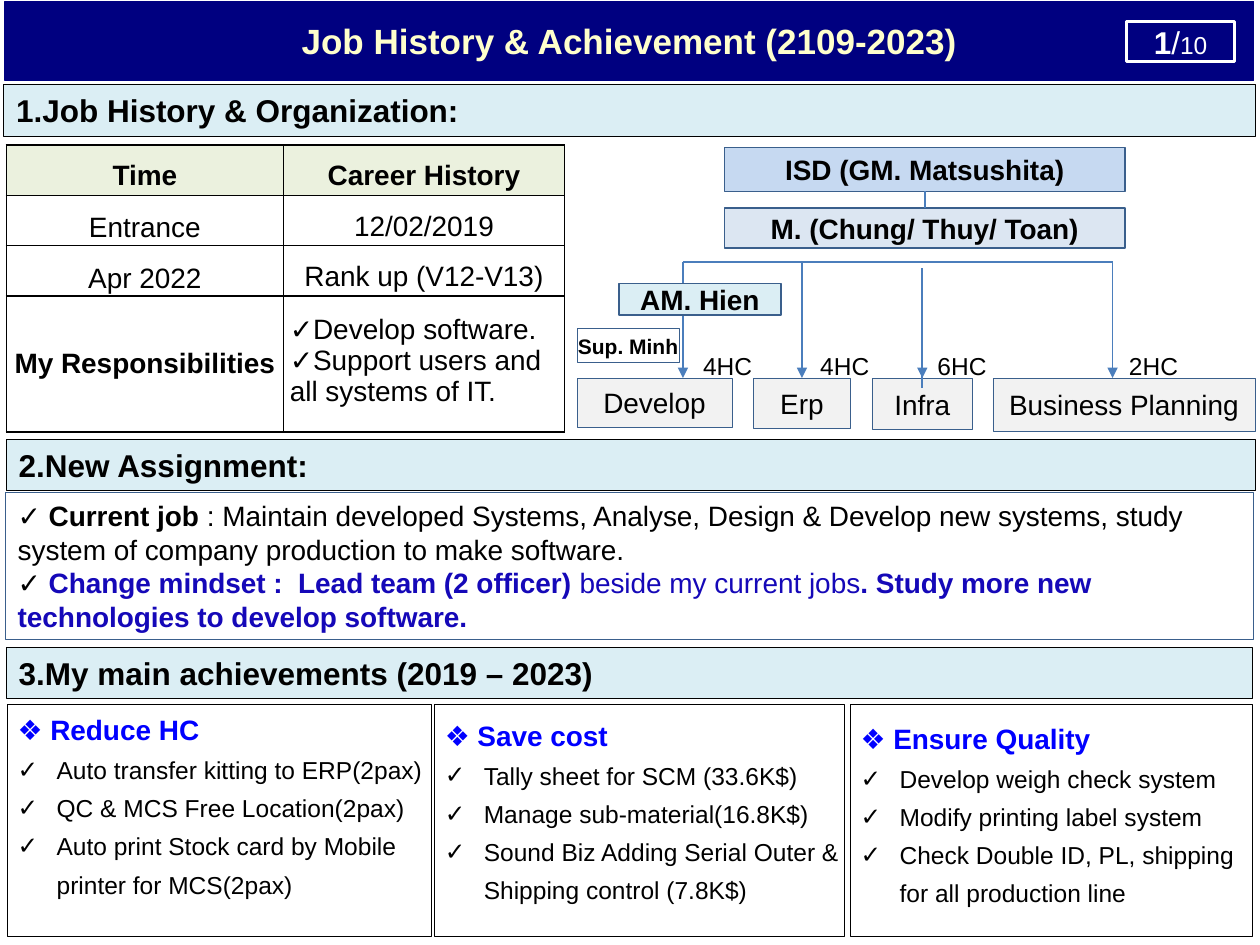
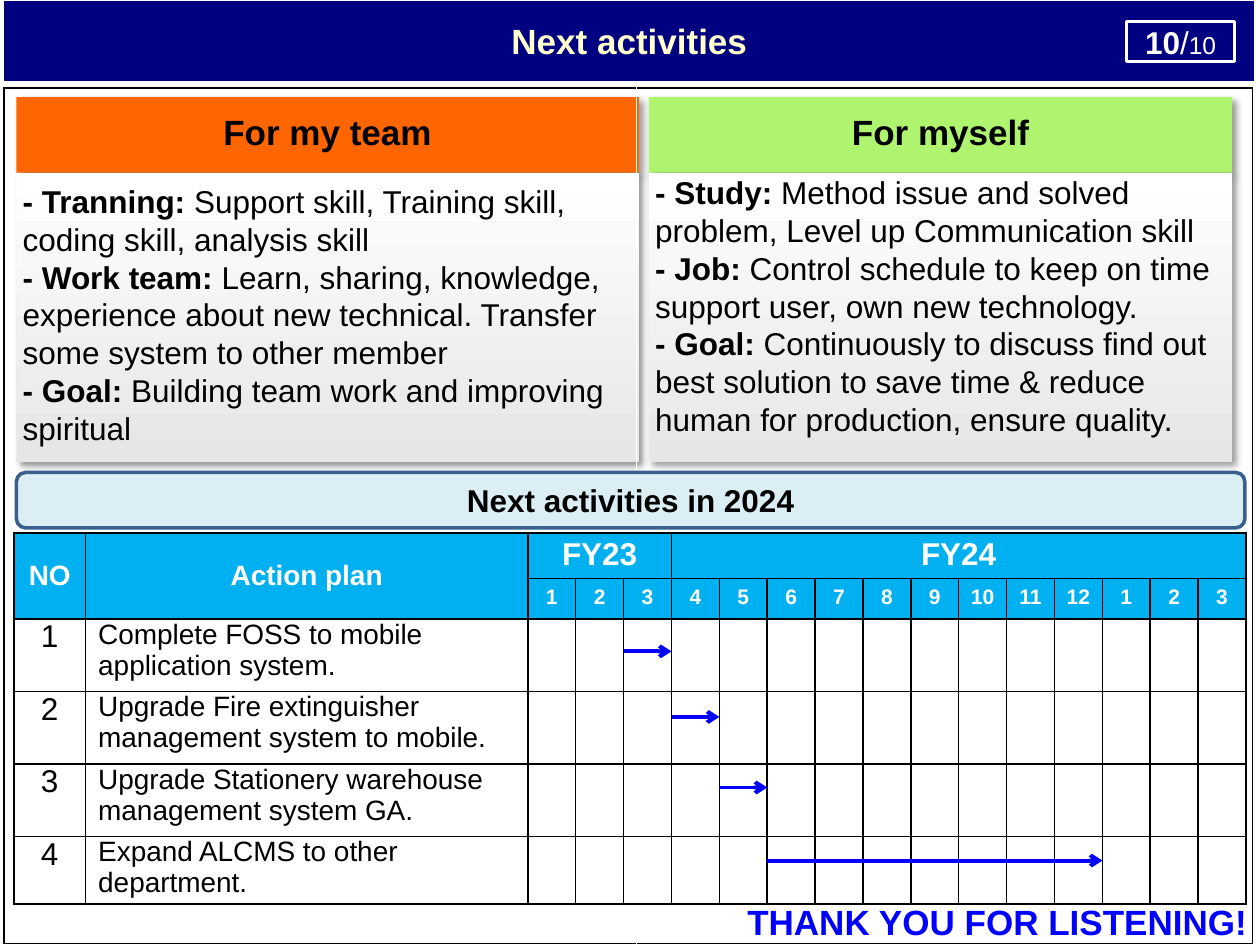
import collections
import pptx
import pptx.dml.color
import pptx.enum.shapes
import pptx.enum.text
import pptx.oxml.ns
import pptx.util
from lxml import etree

RGB = pptx.dml.color.RGBColor
Pt = pptx.util.Pt
Inches = pptx.util.Inches
qn = pptx.oxml.ns.qn
ALIGN = pptx.enum.text.PP_ALIGN
ANCHOR = pptx.enum.text.MSO_ANCHOR
SHAPE = pptx.enum.shapes.MSO_SHAPE

BLACK = RGB(0x00, 0x00, 0x00)
WHITE = RGB(0xFF, 0xFF, 0xFF)
NAVY = RGB(0x00, 0x00, 0x80)
CREAM = RGB(0xFF, 0xFF, 0xCC)
BLUE = RGB(0x00, 0x00, 0xFF)
INDIGO = RGB(0x15, 0x08, 0xB8)
STEEL = RGB(0x3A, 0x5F, 0x8C)
LINK = RGB(0x4B, 0x7E, 0xBC)
AQUA = RGB(0xDB, 0xEE, 0xF4)
ICE = RGB(0xDC, 0xE6, 0xF2)
SKY = RGB(0xC6, 0xD9, 0xF1)
OLIVE = RGB(0xEB, 0xF1, 0xDE)
PALE = RGB(0xF2, 0xF2, 0xF2)
SILVER = RGB(0xE6, 0xE6, 0xE6)
ORANGE = RGB(0xFF, 0x66, 0x00)
LIME = RGB(0xAE, 0xF4, 0x6E)
CYAN = RGB(0x00, 0xB0, 0xF0)

FONT = "Arial"
SLIDE_W, SLIDE_H = Inches(10), Inches(7.5)
COL, ROW = SLIDE_W / 100, SLIDE_H / 75
INSETS = (0.1, 0.05, 0.1, 0.05)
NO_INSETS = (0, 0, 0, 0)

Run = collections.namedtuple("Run", "text size color bold", defaults=(16, BLACK, False))


class Box(collections.namedtuple("Box", "left top width height")):
    def sub(self, dx, dy, width, height):
        return Box(self.left + dx, self.top + dy, width, height)

    def emu(self):
        return (round(self.left * COL), round(self.top * ROW),
                round(self.width * COL), round(self.height * ROW))


def write(tf, paras, align=ALIGN.LEFT, spacing=1.0, check_from=None):
    for i, runs in enumerate(paras):
        p = tf.paragraphs[0] if i == 0 else tf.add_paragraph()
        p.alignment, p.line_spacing, p.space_before = align, spacing, Pt(0)
        checked = check_from is not None and i >= check_from
        pPr = p._p.get_or_add_pPr()
        indent = Inches(0.31) if checked else 0
        pPr.set("marL", str(indent))
        pPr.set("indent", str(-indent))
        if checked:
            etree.SubElement(pPr, qn("a:buChar")).set("char", "✓")
        else:
            etree.SubElement(pPr, qn("a:buNone"))
        for run in runs:
            r = p.add_run()
            r.text = run.text
            r.font.name, r.font.size, r.font.bold = FONT, Pt(run.size), run.bold
            r.font.color.rgb = run.color


def set_margins(target, insets):
    (target.margin_left, target.margin_top,
     target.margin_right, target.margin_bottom) = map(Inches, insets)


def put_text(sp, paras, align=ALIGN.CENTER, insets=INSETS, **style):
    tf = sp.text_frame
    tf.auto_size = pptx.enum.text.MSO_AUTO_SIZE.NONE
    tf.word_wrap = True
    tf.vertical_anchor = ANCHOR.MIDDLE
    set_margins(tf, insets)
    write(tf, paras, align, **style)


def paint(sp, fill=None, line=None, width=0.25):
    if fill is None:
        sp.fill.background()
    else:
        sp.fill.solid()
        sp.fill.fore_color.rgb = fill
    if line is None:
        sp.line.fill.background()
    else:
        sp.line.color.rgb = line
        sp.line.width = Pt(width)
    sp.shadow.inherit = False


def place(sp, box):
    sp.left, sp.top, sp.width, sp.height = box.emu()
    return sp


def add_panel(s, box, runs, fill=None, line=STEEL, width=0.25, preset=SHAPE.RECTANGLE, **style):
    sp = s.shapes.add_shape(preset, *box.emu())
    paint(sp, fill, line, width)
    put_text(sp, [runs], **style)
    return sp


def add_label(s, box, run, **style):
    put_text(s.shapes.add_textbox(*box.emu()), [[run]], **style)


def add_line(s, box, x1, y1, x2, y2, color=LINK, width=1, head=None):
    start, end = box.sub(x1, y1, 0, 0).emu(), box.sub(x2, y2, 0, 0).emu()
    c = s.shapes.add_connector(pptx.enum.shapes.MSO_CONNECTOR.STRAIGHT, *start[:2], *end[:2])
    c.line.color.rgb, c.line.width = color, Pt(width)
    spPr = c._element.spPr
    if head:
        etree.SubElement(spPr.find(qn("a:ln")), qn("a:tailEnd")).set("type", head)
    etree.SubElement(spPr, qn("a:effectLst"))
    return c


def add_grid(s, box, cols, rows):
    table = s.shapes.add_table(len(rows), len(cols), *box.emu()).table
    table.first_row = table.horz_banding = False
    for column, width in zip(table.columns, cols):
        column.width = round(width * COL)
    for row, height in zip(table.rows, rows):
        row.height = round(height * ROW)
    return table


def style_cell(cell, fill=None, sides="LRTB"):
    tcPr = cell._tc.get_or_add_tcPr()
    for side in sides:
        ln = etree.SubElement(tcPr, qn("a:ln" + side), w=str(Pt(1)))
        solid = etree.SubElement(ln, qn("a:solidFill"))
        etree.SubElement(solid, qn("a:srgbClr"), val=str(BLACK))
    if fill is None:
        cell.fill.background()
    else:
        cell.fill.solid()
        cell.fill.fore_color.rgb = fill
    set_margins(cell, NO_INSETS)


def fill_cell(cell, paras, align=ALIGN.CENTER, anchor=ANCHOR.TOP, insets=NO_INSETS, **style):
    cell.vertical_anchor = anchor
    set_margins(cell, insets)
    write(cell.text_frame, paras, align, **style)


def add_base(prs, title, page):
    s = prs.slides.add_slide(prs.slide_layouts[4])
    band = Box(0.4, 0.1, 99.1, 6.3)
    sp = place(s.shapes.title, band)
    paint(sp, NAVY, NAVY, 0.75)
    put_text(sp, [[Run(title, 20, CREAM, True)]])
    add_panel(s, band.sub(89, 1.6, 8.6, 3.2),
              [Run(page, 18, WHITE, True), Run("/", 18, WHITE), Run("10", 14, WHITE)],
              line=WHITE, width=2)
    return s


def add_section(s, box, heading):
    add_panel(s, box, [Run(heading, 18, BLACK, True)], AQUA, BLACK, align=ALIGN.LEFT)


def add_career_table(s, box):
    table = add_grid(s, box, (22, 22.3), (4, 4, 4, 10.8))
    rows = (("Time", "Career History"), ("Entrance", "12/02/2019"),
            ("Apr 2022", "Rank up (V12-V13)"))
    for i, row in enumerate(rows):
        for j, text in enumerate(row):
            cell = table.cell(i, j)
            style_cell(cell, WHITE if i else OLIVE)
            fill_cell(cell, [[Run(text, bold=i == 0)]], spacing=1.5,
                      anchor=ANCHOR.MIDDLE if i and j == 0 else ANCHOR.TOP)
    label, duties = table.cell(3, 0), table.cell(3, 1)
    style_cell(label, WHITE)
    style_cell(duties, WHITE)
    fill_cell(label, [[Run("My Responsibilities", bold=True)]], anchor=ANCHOR.MIDDLE)
    fill_cell(duties, [[Run("✓Develop software.")], [Run("✓Support users and all systems of IT.")]],
              ALIGN.LEFT, ANCHOR.MIDDLE, (0.05, 0, 0, 0.05))


def add_org_chart(s, box):
    isd = add_panel(s, box.sub(11.7, 0, 31.8, 3.5), [Run("ISD (GM. Matsushita)", bold=True)],
                    SKY, width=1)
    managers = add_panel(s, box.sub(11.7, 4.8, 31.8, 3.2),
                         [Run("M. (Chung/ Thuy/ Toan)", bold=True)], ICE, width=1)
    c = add_line(s, box, 27.6, 3.5, 27.6, 4.8)
    c.begin_connect(isd, 2)
    c.end_connect(managers, 0)

    bar, teams_top, develop_x, planning_x = 9.1, 18.3, 8.4, 42.5
    teams = (("Develop", 0, 12.3, 3.9, develop_x, 12.9, 8.5, "4HC"),
             ("Erp", 14, 7.7, 4, None, bar, 17.8, "4HC"),
             ("Infra", 23.4, 8, 4.1, None, 15.8, 27.1, "6HC"),
             ("Business Planning", 33, 20.8, 4.2, planning_x, bar, 42.3, "2HC"))
    add_line(s, box, develop_x, bar, planning_x, bar)
    add_line(s, box, develop_x, bar, develop_x, 10.8)
    for name, left, width, height, stem_x, stem_top, count_left, count in teams:
        team = add_panel(s, box.sub(left, teams_top, width, height), [Run(name)], PALE)
        x = stem_x or left + width / 2
        c = add_line(s, box, x, stem_top, x, teams_top, head="triangle")
        if stem_x is None:
            c.end_connect(team, 0)
        add_label(s, box.sub(count_left, 15.9, 6.9, 2.8), Run(count, 14))
    add_line(s, box, 27.4, 9.6, 27.4, 19.1)
    add_panel(s, box.sub(3.3, 10.8, 12.9, 2.5), [Run("AM. Hien", bold=True)], AQUA, width=1)
    add_panel(s, box.sub(0, 14.4, 8.1, 2.7), [Run("Sup. Minh", 12, bold=True)],
              width=0.5, insets=NO_INSETS)


def add_assignment(sp, box):
    place(sp, box)
    paint(sp, WHITE, STEEL)
    put_text(sp, [
        [Run("✓ "), Run("Current job ", bold=True),
         Run(": Maintain developed Systems, Analyse, Design & Develop new systems, "
             "study system of company production to make software.")],
        [Run("✓ ", bold=True),
         Run("Change mindset :  Lead team (2 officer) ", color=INDIGO, bold=True),
         Run("beside my current jobs", color=INDIGO),
         Run(". Study more new technologies to develop software.", color=INDIGO, bold=True)],
    ], ALIGN.LEFT)


def add_achievement(sp, box, heading, items, bottom):
    place(sp, box)
    paint(sp, WHITE, BLACK)
    put_text(sp, [[Run("❖ " + heading, 16, BLUE, True)]] + [[Run(item, 14)] for item in items],
             ALIGN.LEFT, (0.08, 0.05, 0, bottom), spacing=1.3, check_from=1)


def build_history(prs):
    s = add_base(prs, "Job History & Achievement (2109-2023)", "1")
    add_section(s, Box(0.3, 6.7, 99.3, 4.1), "1.Job History & Organization:")
    add_section(s, Box(0.5, 34.9, 99.1, 4), "2.New Assignment:")
    add_section(s, Box(0.5, 51.4, 98.9, 4), "3.My main achievements (2019 – 2023)")
    add_career_table(s, Box(0.5, 11.5, 44.3, 22.8))
    add_org_chart(s, Box(45.8, 11.7, 53.8, 22.5))
    add_assignment(s.placeholders[1], Box(0.4, 39.1, 99.1, 11.6))
    achievements = (
        (0.6, 33.6, "Reduce HC", 0.36,
         ("Auto transfer kitting to ERP(2pax)", "QC & MCS Free Location(2pax)",
          "Auto print Stock card by Mobile printer for MCS(2pax)")),
        (34.5, 32.5, "Save cost", 0.27,
         ("Tally sheet for SCM (33.6K$)", "Manage sub-material(16.8K$)",
          "Sound Biz Adding Serial Outer & Shipping control (7.8K$)")),
        (67.5, 31.9, "Ensure Quality", 0.22,
         ("Develop weigh check system", "Modify printing label system",
          "Check Double ID, PL, shipping for all production line")))
    for idx, (left, width, heading, bottom, items) in enumerate(achievements, 2):
        add_achievement(s.placeholders[idx], Box(left, 55.9, width, 18.4), heading, items, bottom)


def cast_shadow(sp):
    sp.shadow.inherit = False
    effects = sp._element.spPr.find(qn("a:effectLst"))
    shadow = etree.SubElement(effects, qn("a:outerShdw"), blurRad=str(Pt(4)), dist=str(Pt(3)),
                              dir="2700000", algn="tl", rotWithShape="0")
    color = etree.SubElement(shadow, qn("a:srgbClr"), val=str(BLACK))
    etree.SubElement(color, qn("a:alpha"), val="40000")


def add_goals(header, body, box, heading, color, goals, bottom):
    place(header, box.sub(0, 0, box.width, 6))
    paint(header, color)
    cast_shadow(header)
    put_text(header, [[Run(heading, 20, BLACK, True)]], insets=(0.1, 0, 0.1, 0.05))
    place(body, box.sub(0, 6, box.width, box.height - 6))
    paint(body, WHITE)
    body.fill.gradient()
    body.fill.gradient_angle = 90
    for stop, shade in zip(body.fill.gradient_stops, (SILVER, WHITE)):
        stop.color.rgb = shade
    cast_shadow(body)
    put_text(body, [[Run(f"- {name}: ", 18, bold=True), Run(text, 18)] for name, text in goals],
             ALIGN.LEFT, (0.05, 0, 0.05, bottom))


def add_schedule(s, box):
    number_w, plan_w, month_w, months = 5.7, 35.1, 3.8, 15
    table = add_grid(s, box, [number_w, plan_w] + [month_w] * months,
                     (3.6, 3.25, 5.75, 5.75, 5.75, 5.35))
    for i, row in enumerate(table.rows):
        for cell in row.cells:
            style_cell(cell, CYAN if i < 2 else None)
    headers = ((0, 0, 1, 0, "NO", 16), (0, 1, 1, 1, "Action plan", 16),
               (0, 2, 0, 4, "FY23", 18), (0, 5, 0, 16, "FY24", 18))
    for top, left, bottom, right, text, size in headers:
        cell = table.cell(top, left)
        cell.merge(table.cell(bottom, right))
        fill_cell(cell, [[Run(text, size, WHITE, True)]], insets=(0.1, 0.03, 0.1, 0.03),
                  anchor=ANCHOR.MIDDLE if bottom else ANCHOR.TOP)
    for m in range(months):
        fill_cell(table.cell(1, m + 2), [[Run(str(m % 12 + 1), 12, WHITE, True)]],
                  insets=(0, 0.06, 0, 0))
    plans = (("Complete FOSS to mobile application system.", 2, 3, 9.4),
             ("Upgrade Fire extinguisher management system to mobile.", 3, 4, 14.6),
             ("Upgrade Stationery warehouse management system GA.", 4, 5, 20.2),
             ("Expand ALCMS to other department.", 5, 12, 26))
    first_month = number_w + plan_w
    for number, (plan, start, end, y) in enumerate(plans, 1):
        fill_cell(table.cell(number + 1, 0), [[Run(str(number), 18)]])
        fill_cell(table.cell(number + 1, 1), [[Run(plan)]], ALIGN.LEFT, insets=(0.1, 0, 0, 0))
        add_line(s, box, first_month + start * month_w, y, first_month + end * month_w, y,
                 BLUE, 2.25, "arrow")


def build_next(prs):
    s = add_base(prs, "Next activities", "10")
    frame = add_grid(s, Box(0.3, 7, 99.1, 67.9), (50.2, 48.9), (67.9,))
    style_cell(frame.cell(0, 0), sides="LTB")
    style_cell(frame.cell(0, 1), sides="RTB")
    team = (("Tranning", "Support skill, Training skill, coding skill, analysis skill"),
            ("Work team", "Learn, sharing, knowledge, experience about new technical. "
                          "Transfer some system to other member"),
            ("Goal", "Building team work and improving spiritual"))
    myself = (("Study", "Method issue and solved problem, Level up Communication skill"),
              ("Job", "Control schedule to keep on time support user, own new technology."),
              ("Goal", "Continuously to discuss find out best solution to save time & reduce "
                       "human for production, ensure quality."))
    ph = s.placeholders
    add_goals(ph[1], ph[2], Box(1.3, 7.7, 49.4, 29), "For my team", ORANGE, team, 0.05)
    add_goals(ph[3], ph[4], Box(51.5, 7.7, 46.3, 29), "For myself", LIME, myself, 0.19)
    add_panel(s, Box(1.3, 37.5, 97.5, 4.4), [Run("Next activities in 2024", 18, bold=True)],
              AQUA, width=2, preset=SHAPE.ROUNDED_RECTANGLE)
    add_schedule(s, Box(1.1, 42.3, 97.8, 29.45))
    add_label(s, Box(56, 71.2, 43, 3.8), Run("THANK YOU FOR LISTENING!", 20, BLUE, True),
              align=ALIGN.RIGHT, insets=NO_INSETS)


def main():
    prs = pptx.Presentation()
    prs.slide_width, prs.slide_height = SLIDE_W, SLIDE_H
    build_history(prs)
    build_next(prs)
    prs.save("out.pptx")


if __name__ == "__main__":
    main()
